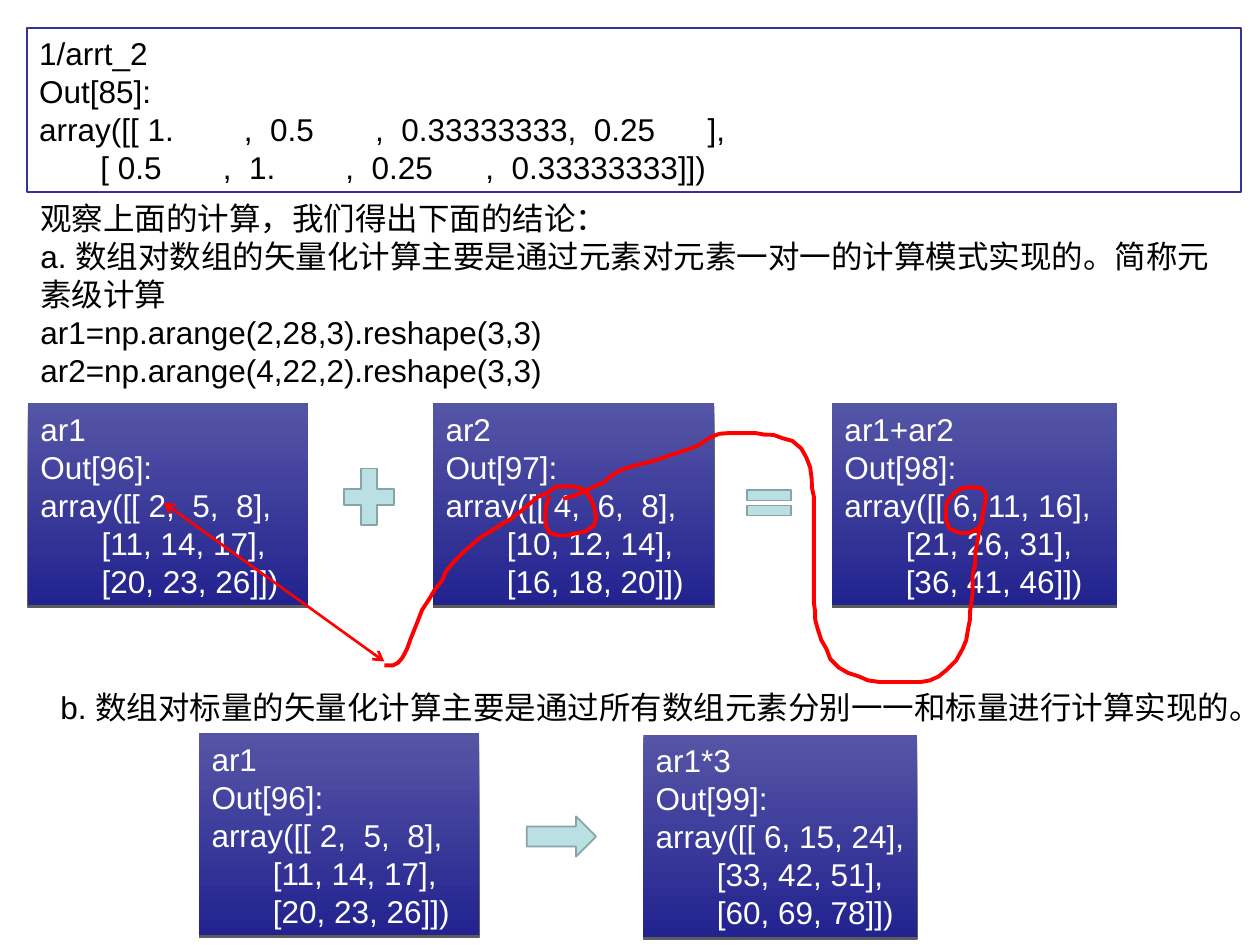
from dataclasses import dataclass

from lxml import etree
from pptx import Presentation
from pptx.dml.color import RGBColor
from pptx.enum.shapes import MSO_CONNECTOR, MSO_SHAPE
from pptx.enum.text import MSO_ANCHOR, PP_ALIGN
from pptx.oxml.ns import qn
from pptx.util import Pt

RECTANGLE = MSO_SHAPE.RECTANGLE
PLUS = MSO_SHAPE.MATH_PLUS
EQUAL = MSO_SHAPE.MATH_EQUAL
RIGHT_ARROW = MSO_SHAPE.RIGHT_ARROW
STRAIGHT = MSO_CONNECTOR.STRAIGHT
TOP = MSO_ANCHOR.TOP
LEFT = PP_ALIGN.LEFT

FONT, SIZE, LINE_HEIGHT = "Arial", 18, 21.7
BLACK, WHITE, RED, NAVY = "000000", "FFFFFF", "FF0000", "333399"
PANEL_TOP, PANEL_BOTTOM = "5555A6", "232390"
SIGN_FILL, SIGN_LINE = "BBE0E3", "89A4A7"
PANEL_HEIGHT = 115.2
ROW_TAB = 35  # where the second and later rows of an array begin


@dataclass(frozen=True)
class Line:
    text: str
    tabs: tuple[float, ...] = ()


@dataclass(frozen=True)
class Panel:
    left: float
    top: float
    width: float
    name: str
    number: int
    rows: tuple[str, str, str]


@dataclass(frozen=True)
class Sign:
    kind: int
    left: float
    top: float
    width: float
    height: float


RECIPROCAL = [
    Line("1/arrt_2"),
    Line("Out[85]:"),
    Line("array([[ 1.\t,  0.5\t,  0.33333333,  0.25\t],", (117, 192, 382)),
    Line("\t[ 0.5\t,  1.\t,  0.25\t,  0.33333333]])", (ROW_TAB, 105, 175, 255)),
]
CONCLUSION = [
    Line("观察上面的计算，我们得出下面的结论："),
    Line("a. 数组对数组的矢量化计算主要是通过元素对元素一对一的计算模式实现的。简称元素级计算"),
    Line("ar1=np.arange(2,28,3).reshape(3,3)"),
    Line("ar2=np.arange(4,22,2).reshape(3,3)"),
]
SCALAR_RULE = [Line("b. 数组对标量的矢量化计算主要是通过所有数组元素分别一一和标量进行计算实现的。")]

AR1_ROWS = (" 2,  5,  8", "11, 14, 17", "20, 23, 26")
SUM_PANELS = [
    Panel(16, 230.4, 160, "ar1", 96, AR1_ROWS),
    Panel(247.5, 230.4, 160.8, "ar2", 97, (" 4,  6,  8", "10, 12, 14", "16, 18, 20")),
    Panel(475.5, 230.4, 162.7, "ar1+ar2", 98, (" 6, 11, 16", "21, 26, 31", "36, 41, 46")),
]
PRODUCT_PANELS = [
    Panel(113.8, 419, 160, "ar1", 96, AR1_ROWS),
    Panel(367.6, 420, 156.5, "ar1*3", 99, (" 6, 15, 24", "33, 42, 51", "60, 69, 78")),
]
SUM_SIGNS = [Sign(PLUS, 191.5, 262, 39, 44), Sign(EQUAL, 422.5, 275.2, 34, 24.5)]
ARROW_SIGN = Sign(RIGHT_ARROW, 301, 466.5, 39.6, 23)

# Pen strokes: from ar2 to the sum and around its 6, then up to ar2 and around its 4
SUM_STROKE = [
    (321.8, 285.1), (329, 283), (334.1, 280.8), (339.8, 277.9), (344.9, 275.8),
    (349.9, 271.4), (355, 268.6), (361.4, 266.4), (373, 263.5), (383.8, 259.9),
    (394.6, 256.3), (399.6, 254.2), (406.1, 249.8), (411.1, 247.9), (416.2, 247.5),
    (432, 247.5), (437, 248.4), (442, 248.5), (447.1, 250.4), (452.9, 252),
    (457.9, 256.3), (460.8, 261.4), (463, 267.1), (463.9, 273.6), (464, 278.6),
    (465.1, 283.7), (465.1, 344.2), (465.8, 349.2), (465.9, 354.2), (467.3, 359.3),
    (469.4, 365.8), (472.3, 370.8), (474.5, 376.6), (479.5, 381.6), (484.6, 384.5),
    (491, 386.6), (496.1, 388.8), (502.6, 389.7), (526.3, 389.7), (531.4, 388.8),
    (536.4, 386.6), (541.4, 382.5), (546.5, 377.3), (550.1, 370.8), (552.2, 365.8),
    (553, 360.7), (554.3, 354.2), (554.4, 349.2), (555.1, 344.2), (555.8, 339.1),
    (555.9, 327.6), (557.3, 322.6), (557.4, 316.1), (559.4, 304.6), (561.6, 294.5),
    (562.5, 289.4), (563.6, 283.7), (562.8, 281), (560.2, 278.8), (555.1, 278.4),
    (550.1, 278.8), (545, 282), (540.9, 287.3), (540.5, 292.3), (540.7, 297.4),
    (542.7, 302.2), (548.6, 304.6), (554.4, 304.4), (559.4, 301.5), (562.3, 296.6),
]
AR2_STROKE = [
    (219.6, 380.2), (224.6, 380.2), (227.5, 378.7), (230, 375.8), (232.6, 370.8),
    (234.7, 365), (239, 354.2), (241.2, 348.5), (245.5, 342), (248.4, 337),
    (252.6, 331.8), (254.9, 326.4), (259.9, 320.4), (265, 315.4), (270, 311),
    (275, 306.7), (280.1, 303.8), (286.6, 299.6), (291.8, 296.6), (297.4, 292.3),
    (307.4, 283.9), (312.5, 281.9), (317.6, 278.2), (324, 277.9), (329, 278.1),
    (334.1, 280.2), (337.6, 285.1), (339.6, 290.2), (340.6, 295.2), (339.5, 300.2),
    (334.3, 303.8), (329, 304.8), (324, 306), (319, 306), (313.9, 304.4),
    (311.7, 299.5), (311.6, 294.5), (311.9, 289.4), (313.9, 283.7),
]


def color(code: str) -> RGBColor:
    return RGBColor.from_string(code)


def write_lines(box, lines: list[Line], ink: str) -> None:
    frame = box.text_frame
    frame.word_wrap = True
    frame.vertical_anchor = TOP
    for index, line in enumerate(lines):
        para = frame.add_paragraph() if index else frame.paragraphs[0]
        para.alignment = LEFT
        para.line_spacing = Pt(LINE_HEIGHT)
        if line.tabs:
            stops = etree.SubElement(para._p.get_or_add_pPr(), qn("a:tabLst"))
            for position in line.tabs:
                etree.SubElement(stops, qn("a:tab"), pos=str(Pt(position)), algn="l")
        span = para.add_run()
        span.text = line.text
        span.font.name = FONT
        span.font.size = Pt(SIZE)
        span.font.color.rgb = color(ink)


def add_note(page, left: float, top: float, width: float, height: float, lines: list[Line]):
    box = page.shapes.add_textbox(Pt(left), Pt(top), Pt(width), Pt(height))
    write_lines(box, lines, BLACK)
    return box


def add_panel(page, panel: Panel) -> None:
    box = page.shapes.add_shape(RECTANGLE, Pt(panel.left), Pt(panel.top), Pt(panel.width), Pt(PANEL_HEIGHT))
    box.fill.gradient()
    box.fill.gradient_angle = 270
    for stop, code in zip(box.fill.gradient_stops, (PANEL_TOP, PANEL_BOTTOM)):
        stop.color.rgb = color(code)
    box.line.fill.background()
    effects = etree.SubElement(box._element.spPr, qn("a:effectLst"))
    shadow = etree.SubElement(effects, qn("a:outerShdw"), dist=str(Pt(1.5)), dir="5400000", rotWithShape="0")
    shade = etree.SubElement(shadow, qn("a:srgbClr"), val=BLACK)
    etree.SubElement(shade, qn("a:alpha"), val="63000")
    first, second, third = panel.rows
    write_lines(box, [
        Line(panel.name),
        Line(f"Out[{panel.number}]:"),
        Line(f"array([[{first}],"),
        Line(f"\t[{second}],", (ROW_TAB,)),
        Line(f"\t[{third}]])", (ROW_TAB,)),
    ], WHITE)


def add_sign(page, sign: Sign) -> None:
    shape = page.shapes.add_shape(sign.kind, Pt(sign.left), Pt(sign.top), Pt(sign.width), Pt(sign.height))
    shape.shadow.inherit = False
    shape.fill.solid()
    shape.fill.fore_color.rgb = color(SIGN_FILL)
    shape.line.color.rgb = color(SIGN_LINE)
    shape.line.width = Pt(1)


def add_stroke(page, points: list[tuple[float, float]]) -> None:
    start, *rest = [(Pt(x), Pt(y)) for x, y in points]
    builder = page.shapes.build_freeform(*start)
    builder.add_line_segments(rest, close=False)
    stroke = builder.convert_to_shape()
    stroke.shadow.inherit = False
    stroke.fill.background()
    stroke.line.color.rgb = color(RED)
    stroke.line.width = Pt(2.25)


def add_double_arrow(page, start: tuple[float, float], end: tuple[float, float]) -> None:
    arrow = page.shapes.add_connector(STRAIGHT, *(Pt(value) for value in start + end))
    arrow.line.color.rgb = color(RED)
    arrow.line.width = Pt(1.5)
    for tag in ("a:headEnd", "a:tailEnd"):
        etree.SubElement(arrow.line._get_or_add_ln(), qn(tag), type="arrow")
    etree.SubElement(arrow._element.spPr, qn("a:effectLst"))


def main() -> None:
    deck = Presentation()
    deck.slide_width, deck.slide_height = Pt(720), Pt(540)
    page = deck.slides.add_slide(deck.slide_layouts[6])

    # Reciprocal output and the first conclusion
    output = add_note(page, 15.3, 16, 694, 93.6, RECIPROCAL)
    output.fill.solid()
    output.fill.fore_color.rgb = color(WHITE)
    output.line.color.rgb = color(NAVY)
    output.line.width = Pt(1)
    add_note(page, 16, 110.2, 693.4, PANEL_HEIGHT, CONCLUSION)

    # Array plus array, with pen marks
    for panel in SUM_PANELS:
        add_panel(page, panel)
    add_double_arrow(page, (93.6, 287.3), (219.6, 378))
    for sign in SUM_SIGNS:
        add_sign(page, sign)
    for points in (SUM_STROKE, AR2_STROKE):
        add_stroke(page, points)

    # Array times scalar
    add_note(page, 27.4, 389.5, 687.6, 28.8, SCALAR_RULE)
    for panel in PRODUCT_PANELS:
        add_panel(page, panel)
    add_sign(page, ARROW_SIGN)

    deck.save("out.pptx")


if __name__ == "__main__":
    main()
